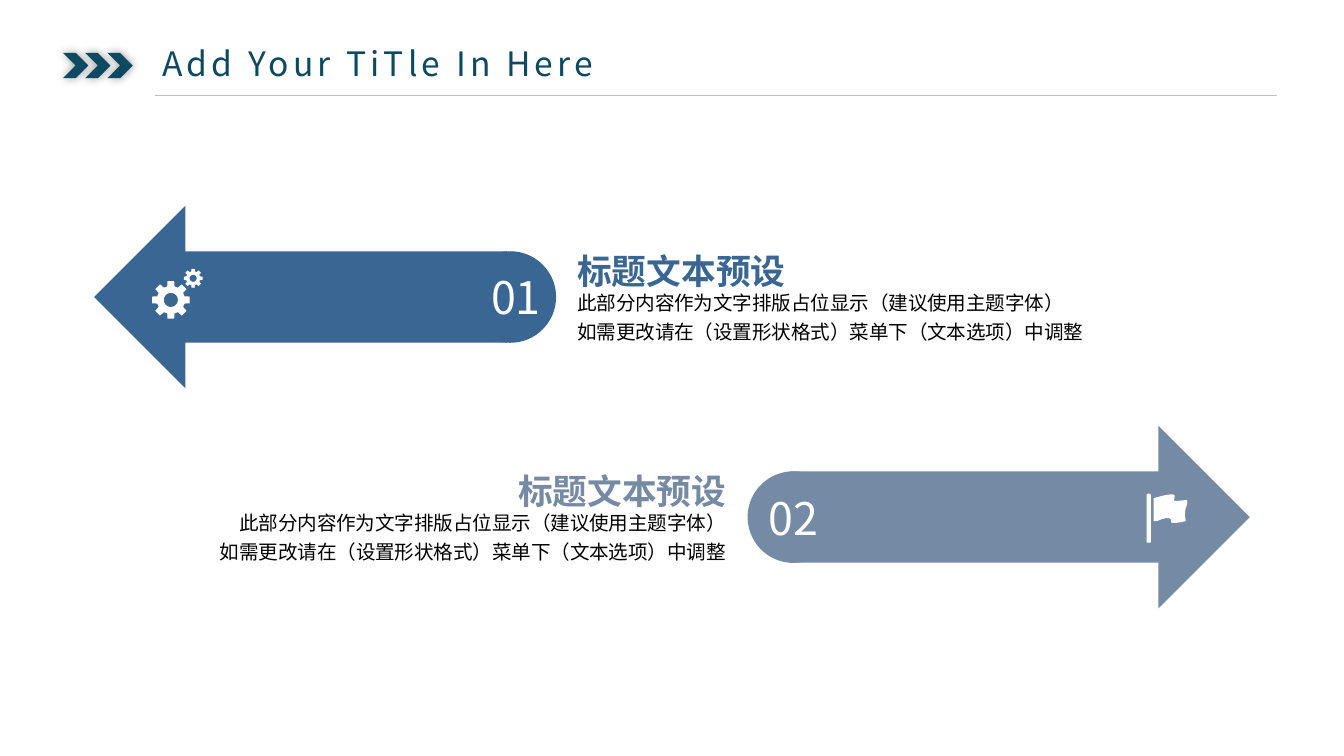
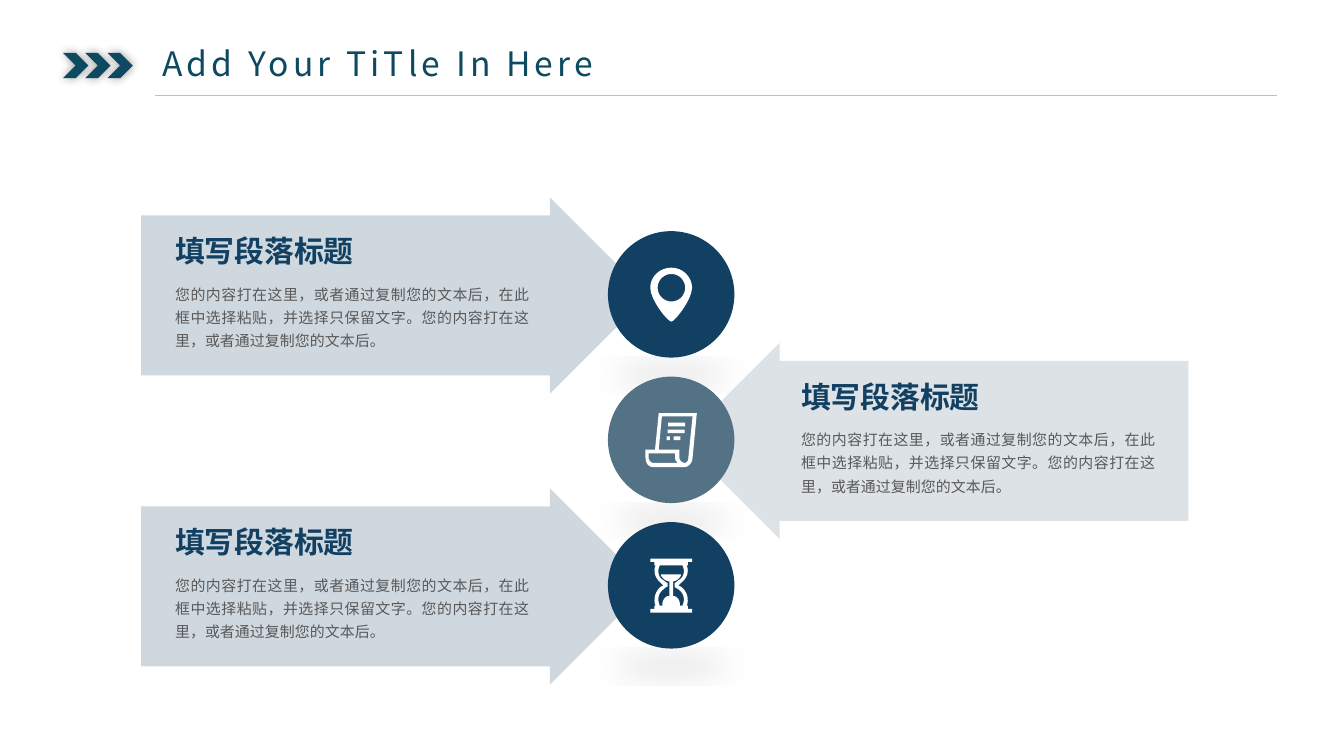
import copy
import math

import lxml.etree
import pptx
import pptx.dml.color
import pptx.enum.shapes
import pptx.enum.text
import pptx.oxml.ns
import pptx.util

Cm = pptx.util.Cm
Pt = pptx.util.Pt
SHAPE = pptx.enum.shapes.MSO_SHAPE
ALIGN = pptx.enum.text.PP_ALIGN
ANCHOR = pptx.enum.text.MSO_ANCHOR
qn = pptx.oxml.ns.qn

COLORS = {
    "title": "0D4960", "rule": "BFBFBF", "blue": "396692", "slate": "758AA4",
    "navy": "124062", "teal": "537285", "body": "595959", "black": "000000",
    "white": "FFFFFF",
}
CJK = "Noto Sans CJK SC"
TITLE_FONT = "Noto Sans CJK JP"

BANNER_TITLE = "标题文本预设"
BANNER_BODY = "此部分内容作为文字排版占位显示（建议使用主题字体）\n如需更改请在（设置形状格式）菜单下（文本选项）中调整"
CARD_TITLE = "填写段落标题"
CARD_BODY = ("您的内容打在这里，或者通过复制您的文本后，在此框中选择粘贴，"
             "并选择只保留文字。您的内容打在这里，或者通过复制您的文本后。")


def rgb(name):
    """Return the named colour."""
    return pptx.dml.color.RGBColor.from_string(COLORS[name])


def write(shape, text, size, color, font=CJK, bold=False, align=ALIGN.LEFT,
          anchor=ANCHOR.TOP, insets=None, wrap=True, grow=False,
          line_spacing=None, tracking=None):
    """Put one formatted paragraph into a shape."""
    frame = shape.text_frame
    frame.word_wrap = wrap
    frame.vertical_anchor = anchor
    if grow:
        frame.auto_size = pptx.enum.text.MSO_AUTO_SIZE.SHAPE_TO_FIT_TEXT
    if insets:
        frame.margin_left = frame.margin_right = Cm(insets[0])
        frame.margin_top = frame.margin_bottom = Cm(insets[1])
    paragraph = frame.paragraphs[0]
    paragraph.alignment = align
    if line_spacing:
        paragraph.line_spacing = line_spacing
    for index, line in enumerate(text.split("\n")):
        if index:
            paragraph.add_line_break()
            paragraph._p[-1].append(copy.deepcopy(run._r.rPr))
        run = paragraph.add_run()
        run.text = line
        run.font.size = Pt(size)
        run.font.bold = bold
        run.font.name = font
        run.font.color.rgb = rgb(color)
        east_asian = lxml.etree.SubElement(run._r.rPr, qn("a:ea"))
        east_asian.set("typeface", font)
        if tracking:
            run._r.rPr.set("spc", str(round(tracking * 100)))


def label(slide, box, text, **style):
    """Add a text box in centimetres."""
    write(slide.shapes.add_textbox(*map(Cm, box)), text, **style)


def paint(shape, color, opacity=None):
    """Give a shape a plain fill without line or shadow."""
    shape.shadow.inherit = False
    shape.fill.solid()
    shape.fill.fore_color.rgb = rgb(color)
    shape.line.fill.background()
    if opacity:
        tint = shape._element.spPr.find(".//" + qn("a:srgbClr"))
        lxml.etree.SubElement(tint, qn("a:alpha")).set("val", str(opacity * 1000))
    return shape


def block(slide, kind, box, color, opacity=None):
    """Add a filled preset shape in centimetres."""
    return paint(slide.shapes.add_shape(kind, *map(Cm, box)), color, opacity)


def cast_shadow(shape, opacity, blur, **settings):
    """Add an outer shadow to a shape."""
    effects = shape._element.spPr.find(qn("a:effectLst"))
    outer = lxml.etree.SubElement(effects, qn("a:outerShdw"), blurRad=str(Pt(blur)), **settings)
    tint = lxml.etree.SubElement(outer, qn("a:srgbClr"), val=COLORS["black"])
    lxml.etree.SubElement(tint, qn("a:alpha"), val=str(opacity * 1000))


def flatten(steps, pieces=8):
    """Turn points and six-number Bezier steps into plain points."""
    points = []
    for step in steps:
        if len(step) == 2:
            points.append(step)
            continue
        curve = [points[-1], step[:2], step[2:4], step[4:]]
        for piece in range(1, pieces + 1):
            t = piece / pieces
            weights = [math.comb(3, k) * t ** k * (1 - t) ** (3 - k) for k in range(4)]
            points.append(tuple(sum(w * p[axis] for w, p in zip(weights, curve))
                                for axis in (0, 1)))
    return points


def icon(slide, left, top, contours):
    """Draw closed contours as one white outline shape."""
    builder = None
    for steps in contours:
        points = [(Cm(left + x), Cm(top + y)) for x, y in flatten(steps)]
        if builder is None:
            builder = slide.shapes.build_freeform(*points[0])
        else:
            builder.move_to(*points[0])
        builder.add_line_segments(points[1:], close=True)
    paint(builder.convert_to_shape(), "white")


def polar(x, y, radius, degrees):
    """Return the point at an angle around a centre."""
    angle = math.radians(degrees)
    return x + radius * math.cos(angle), y + radius * math.sin(angle)


def circle(x, y, radius):
    """Return a circular contour."""
    return [polar(x, y, radius, degrees) for degrees in range(0, 360, 10)]


def rect(left, top, right, bottom):
    """Return a rectangular contour."""
    return [(left, top), (right, top), (right, bottom), (left, bottom)]


def gear(x, y, radius):
    """Return the contours of an eight-toothed gear with a hole."""
    profile = [(-15, 0.74), (-10, 1), (10, 1), (15, 0.74)]
    teeth = [polar(x, y, radius * reach, tooth + turn)
             for tooth in range(0, 360, 45) for turn, reach in profile]
    return [teeth, circle(x, y, radius * 0.37)]


GEARS = [gear(0.36, 0.77, 0.36), gear(0.78, 0.36, 0.18)]
FLAG = [
    [[(0, 0.04), (0, 0, 0.08, 0, 0.08, 0.04), (0.08, 0.94), (0, 0.94)]],
    [[(0.76, 0.13), (0.76, 0.13, 0.61, 0.15, 0.53, 0.15),
      (0.51, 0.15, 0.53, 0.08, 0.53, 0.05), (0.53, -0.03, 0.13, 0.1, 0.13, 0.1),
      (0.13, 0.53), (0.13, 0.53, 0.18, 0.53, 0.2, 0.53),
      (0.3, 0.48, 0.48, 0.43, 0.46, 0.53), (0.43, 0.61, 0.74, 0.53, 0.74, 0.53),
      (0.74, 0.53, 0.71, 0.38, 0.74, 0.28), (0.79, 0.18, 0.76, 0.13, 0.76, 0.13)]],
]
PIN = [
    [(0.4, 0), (0.17, 0, 0, 0.18, 0, 0.38), (0, 0.61, 0.33, 1.02, 0.4, 1.02),
     (0.46, 1.02, 0.79, 0.61, 0.79, 0.38), (0.79, 0.18, 0.62, 0, 0.4, 0)],
    circle(0.4, 0.38, 0.26),
]
SCROLL = [
    [(0.97, 0), (0.89, 0.84), (0.89, 0.94, 0.81, 1.02, 0.74, 1.02), (0.15, 1.02),
     (0.05, 1.02, 0, 0.94, 0, 0.84), (0, 0.69), (0.18, 0.69), (0.25, 0)],
    [(0.61, 0.94), (0.58, 0.91, 0.56, 0.89, 0.56, 0.84), (0.56, 0.76), (0.06, 0.76),
     (0.06, 0.84), (0.06, 0.89, 0.1, 0.94, 0.15, 0.94)],
    [(0.89, 0.06), (0.31, 0.06), (0.25, 0.69), (0.64, 0.69), (0.64, 0.84),
     (0.64, 0.89, 0.69, 0.94, 0.74, 0.94), (0.79, 0.94, 0.81, 0.89, 0.81, 0.84)],
    rect(0.43, 0.18, 0.75, 0.25), rect(0.42, 0.31, 0.74, 0.38),
    rect(0.53, 0.44, 0.66, 0.51), rect(0.4, 0.44, 0.46, 0.51),
]
HOURGLASS = [
    [(0, 0), (0.79, 0), (0.79, 0.06), (0.71, 0.06), (0.71, 0.13), (0.69, 0.13),
     (0.74, 0.25, 0.69, 0.38, 0.58, 0.46), (0.53, 0.51), (0.58, 0.53),
     (0.69, 0.61, 0.74, 0.76, 0.69, 0.89), (0.71, 0.89), (0.71, 0.95), (0.79, 0.95),
     (0.79, 1.02), (0, 1.02), (0, 0.95), (0.08, 0.95), (0.08, 0.89), (0.1, 0.89),
     (0.05, 0.76, 0.1, 0.61, 0.2, 0.53), (0.25, 0.51), (0.2, 0.46),
     (0.1, 0.38, 0.05, 0.25, 0.1, 0.13), (0.08, 0.13), (0.08, 0.06), (0, 0.06)],
    [(0.53, 0.41), (0.51, 0.43, 0.48, 0.46, 0.46, 0.46), (0.46, 0.53),
     (0.48, 0.56, 0.51, 0.56, 0.53, 0.58), (0.64, 0.66, 0.66, 0.76, 0.61, 0.89),
     (0.56, 0.89), (0.56, 0.84, 0.56, 0.79, 0.51, 0.74),
     (0.48, 0.71, 0.46, 0.71, 0.43, 0.71), (0.43, 0.43),
     (0.46, 0.43, 0.51, 0.41, 0.53, 0.38), (0.56, 0.36, 0.58, 0.33, 0.58, 0.3),
     (0.2, 0.3), (0.2, 0.33, 0.23, 0.36, 0.25, 0.38),
     (0.28, 0.41, 0.33, 0.43, 0.36, 0.43), (0.36, 0.71),
     (0.33, 0.71, 0.3, 0.71, 0.28, 0.74), (0.23, 0.79, 0.23, 0.84, 0.23, 0.89),
     (0.18, 0.89), (0.13, 0.76, 0.15, 0.66, 0.25, 0.58),
     (0.28, 0.56, 0.3, 0.53, 0.33, 0.53), (0.33, 0.46),
     (0.3, 0.46, 0.28, 0.43, 0.25, 0.41), (0.15, 0.36, 0.13, 0.23, 0.18, 0.13),
     (0.61, 0.13), (0.66, 0.23, 0.64, 0.36, 0.53, 0.41)],
]


def header(slide, box, title):
    """Place the chevrons, the title and the rule below it."""
    left, top, width, height = box
    for index in range(3):
        chevron = block(slide, SHAPE.CHEVRON,
                        (left + 0.42 * index, top + 0.26, 0.48, 0.48), "title")
        cast_shadow(chevron, 40, 5)
    title_left = left + 1.73
    label(slide, (title_left, top, 11.05, 0.91), title, size=18, color="title",
          font=TITLE_FONT, insets=(0.15, 0.08), grow=True, tracking=2.2)
    bottom = Cm(top + height)
    rule = slide.shapes.add_connector(pptx.enum.shapes.MSO_CONNECTOR.STRAIGHT,
                                      Cm(title_left), bottom, Cm(left + width), bottom)
    rule.line.color.rgb = rgb("rule")
    rule.line.width = Pt(0.5)
    lxml.etree.SubElement(rule._element.spPr, qn("a:effectLst"))


def banner(slide, box, number, color, arrow_width, icons, icon_at, to_left):
    """Place a numbered round-ended arrow with its text beside it."""
    left, top, width, height = box
    cap, overlap, text_width, title_width = 1.73, 0.8, 11.48, 5
    if to_left:
        kind, align, number_align = SHAPE.LEFT_ARROW, ALIGN.LEFT, ALIGN.LEFT
        arrow_left = left
        cap_left = left + arrow_width - overlap
        body_left = title_left = cap_left + cap
    else:
        kind, align, number_align = SHAPE.RIGHT_ARROW, ALIGN.RIGHT, ALIGN.CENTER
        arrow_left = left + width - arrow_width
        cap_left = arrow_left - overlap
        body_left, title_left = cap_left - text_width, cap_left - title_width
    block(slide, kind, (arrow_left, top, arrow_width, height), color)
    disc = block(slide, SHAPE.OVAL, (cap_left, top + (height - cap) / 2, cap, cap), color)
    write(disc, number, size=24, color="white", align=number_align,
          anchor=ANCHOR.MIDDLE, wrap=False)
    for contours in icons:
        icon(slide, left + icon_at[0], top + icon_at[1], contours)
    label(slide, (title_left, top + 0.84, title_width, 0.69), BANNER_TITLE, size=18.6,
          color=color, bold=True, align=align, insets=(0.4, 0), wrap=False)
    label(slide, (body_left, top + 1.53, text_width, 1.14), BANNER_BODY, size=10.5,
          color="black", align=align, insets=(0.4, 0), line_spacing=1.2)


def card(slide, box, color, contours, icon_width, to_left):
    """Place a pale arrow with text, pointing at an icon disc."""
    left, top, width, height = box
    disc_size, arrow_width = 2.39, 9.58
    kind = SHAPE.LEFT_ARROW if to_left else SHAPE.RIGHT_ARROW
    arrow_left = left + width - arrow_width if to_left else left
    arrow = block(slide, kind, (arrow_left, top, arrow_width, height), color, opacity=20)
    arrow.adjustments[0] = 0.815
    arrow.adjustments[1] = 0.5
    disc_left = left + 8.82
    disc_top = top + 0.64
    disc = block(slide, SHAPE.OVAL, (disc_left, disc_top, disc_size, disc_size), color)
    cast_shadow(disc, 10, 18, dist=str(Pt(3)), dir="5400000", sx="90000", sy="-19000",
                algn="b", rotWithShape="0")
    icon(slide, disc_left + (disc_size - icon_width) / 2, disc_top + 0.69, contours)
    text_left = arrow_left + (2.08 if to_left else 0.46)
    label(slide, (text_left, top + 0.57, 3.81, 0.89), CARD_TITLE, size=16, color="navy",
          bold=True, anchor=ANCHOR.MIDDLE, insets=(0.18, 0.1), wrap=False, grow=True)
    label(slide, (text_left, top + 1.46, 7.06, 1.52), CARD_BODY, size=8, color="body",
          align=ALIGN.JUSTIFY, insets=(0.18, 0.1), grow=True, line_spacing=1.3)


def new_slide(deck):
    """Add a blank slide with the shared header."""
    slide = deck.slides.add_slide(deck.slide_layouts[6])
    header(slide, (1.19, 0.74, 22.94, 1.07), "Add Your TiTle In Here")
    return slide


def banners_slide(deck):
    """Build the slide with two opposed banners."""
    slide = new_slide(deck)
    banner(slide, (2.67, 8.05, 20.95, 3.45), "02", "slate", 8.69, FLAG, (19, 1.27), False)
    banner(slide, (1.78, 3.89, 20.19, 3.45), "01", "blue", 7.8, GEARS, (1.09, 1.01), True)


def cards_slide(deck):
    """Build the slide with three cards around a column of discs."""
    slide = new_slide(deck)
    cards = [("navy", PIN, 0.79, False), ("teal", SCROLL, 0.97, True),
             ("navy", HOURGLASS, 0.79, False)]
    for row, (color, contours, icon_width, to_left) in enumerate(cards):
        card(slide, (2.67, 3.73 + 2.75 * row, 19.79, 3.71),
             color, contours, icon_width, to_left)


def main():
    """Build and save the deck."""
    deck = pptx.Presentation()
    deck.slide_width = Cm(25.4)
    deck.slide_height = Cm(14.29)
    banners_slide(deck)
    cards_slide(deck)
    deck.save("out.pptx")


if __name__ == "__main__":
    main()
